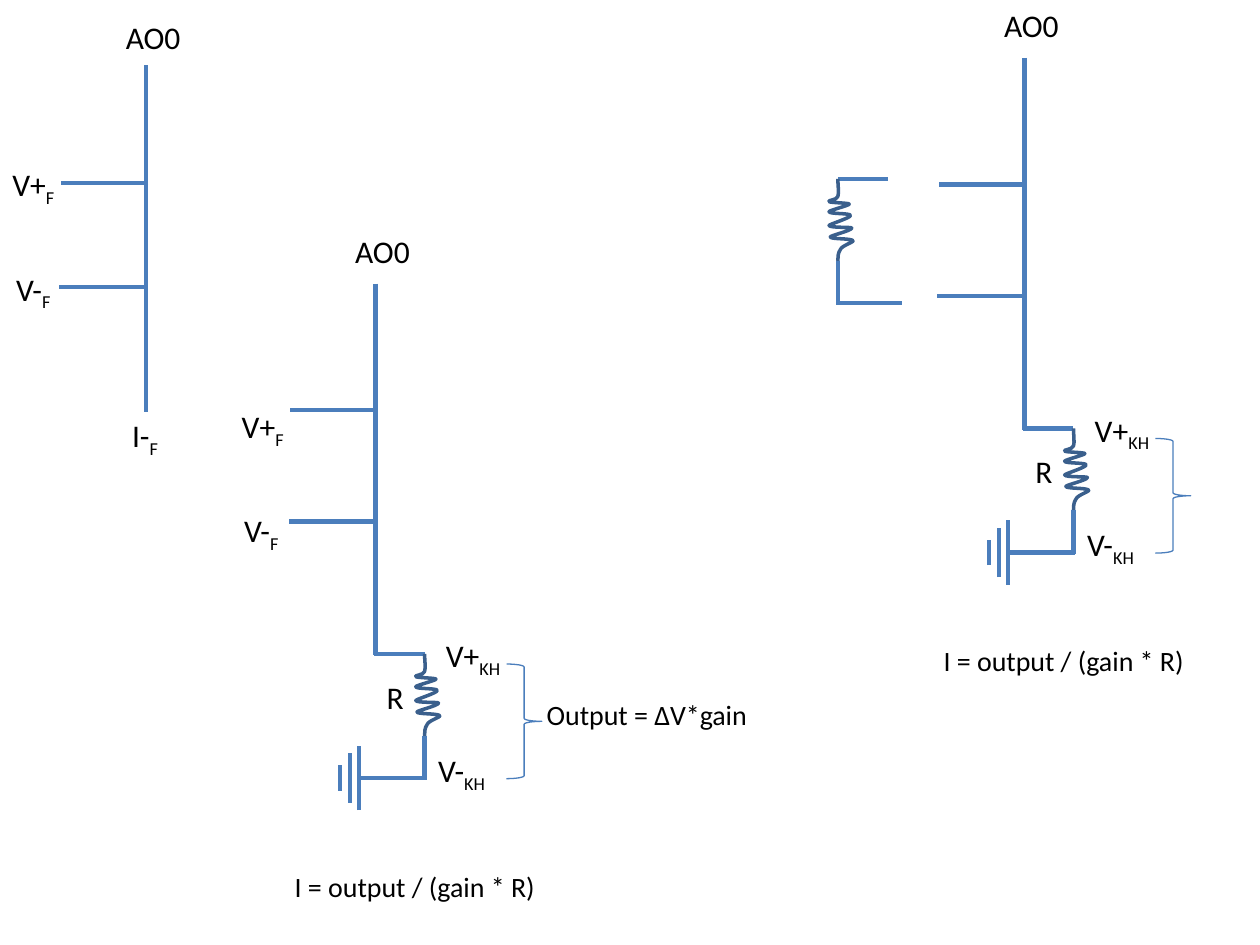
from lxml import etree
from pptx import Presentation
from pptx.dml.color import RGBColor
from pptx.enum.shapes import MSO_CONNECTOR, MSO_SHAPE
from pptx.enum.text import MSO_AUTO_SIZE
from pptx.oxml.ns import qn
from pptx.util import Inches, Pt

STRAIGHT = MSO_CONNECTOR.STRAIGHT
BRACE = MSO_SHAPE.LEFT_BRACE
GROW = MSO_AUTO_SIZE.SHAPE_TO_FIT_TEXT
INK = {"wire": "4B7EBC", "coil": "3A5F8C", "text": "000000"}
COLS, ROWS = 100, 75
CELL = Inches(0.1)
COIL_W, COIL_H = 1.9, 6.5
START = (7, 0)
TURNS = [
    ((7, 5), (8, 11), (7, 14)),
    ((6, 17), (-2, 17), (0, 18)),
    ((1, 19), (16, 19), (16, 20)),
    ((16, 21), (0, 25), (0, 26)),
    ((0, 28), (17, 27), (17, 29)),
    ((17, 31), (0, 36), (0, 37)),
    ((1, 39), (18, 38), (18, 39)),
    ((18, 41), (1, 45), (1, 46)),
    ((1, 48), (17, 47), (19, 49)),
    ((20, 50), (10, 53), (9, 56)),
    ((7, 59), (7, 62), (7, 65)),
]


def grid(*cells):
    return [round(n * CELL) for n in cells]


def pen(line, color, width):
    line.color.rgb = RGBColor.from_string(INK[color])
    line.width = Pt(width)


def wire(parts, *ends):
    link = parts.add_connector(STRAIGHT, *grid(*ends))
    pen(link.line, "wire", 2.5)
    etree.SubElement(link._element.spPr, qn("a:effectLst"))


def label(parts, text, x, y, w, h=4, size=18, sub="", wrap=True):
    box = parts.add_textbox(*grid(x, y, w, h))
    frame = box.text_frame
    frame.word_wrap = wrap
    frame.auto_size = GROW
    for word, base in ((text, 0), (sub, -25000)):
        if word:
            run = frame.paragraphs[0].add_run()
            run.text = word
            run.font.name = "Calibri"
            run.font.size = Pt(size)
            run.font.color.rgb = RGBColor.from_string(INK["text"])
            if base:
                run._r.get_or_add_rPr().set("baseline", str(base))


def probe(parts, x, y, w, h, head):
    group = parts.add_group_shape().shapes
    trunk = x + w
    wire(group, trunk, y, trunk, y + h)
    for share, shift in ((0.34, 0.15), (0.64, 0)):
        tap = y + share * h
        wire(group, trunk + shift, tap, x + shift, tap)
    label(group, "AO0", trunk - 2.6, y - head - 0.3, 8.9, head)


def coil(parts, x, y, w, h):
    def spot(a, b):
        return grid(w * a / 19, h * b / 65)

    left, top = grid(x, y)
    path = parts.build_freeform(*spot(*START))
    path.add_line_segments([spot(*turn[-1]) for turn in TURNS], close=False)
    shape = path.convert_to_shape(left, top)
    for line, turn in zip(list(shape._element.iter(qn("a:lnTo"))), TURNS):
        line.clear()
        line.tag = qn("a:cubicBezTo")
        for knot in turn:
            a, b = spot(*knot)
            etree.SubElement(line, qn("a:pt"), x=str(a), y=str(b))
    shape.fill.background()
    shape.shadow.inherit = False
    pen(shape.line, "coil", 2)


def leg(parts, x, y, side):
    mid, base = x + 0.7, y + 9.85
    wire(parts, mid, y, mid + side * 4, y)
    coil(parts, x, y, COIL_W, COIL_H)
    wire(parts, mid, y + 10, mid, y + COIL_H)
    wire(parts, mid - side * 0.1, base, mid + side * 5.1, base)


def ground(parts, x, y):
    for step, half in ((0, 2.55), (-0.7, 1.95), (-1.5, 1)):
        wire(parts, x + step, y + half, x + step, y - half)


def loop(parts, x, y, w):
    probe(parts, x + 0.5, y + 4.6, 6.9, 29.5, 4.3)
    label(parts, "V+", x + 12, y + 32.1, 7.3, sub="KH")
    label(parts, "V-", x + 11.4, y + 41.2, 7.3, sub="KH")
    ground(parts, x + 6.1, y + 43.85)
    leg(parts, x + 10.6, y + 34, -1)
    brace = parts.add_shape(BRACE, *grid(x + 17.8, y + 34.8, 2.8, 9.1))
    brace._element.spPr.xfrm.set("flipH", "1")
    brace.fill.background()
    brace.shadow.inherit = False
    pen(brace.line, "wire", 0.75)
    label(parts, "I = output / (gain * R)", x, y + 50.6, w, 3.7, 16)
    label(parts, "R", x + 7.3, y + 35.4, 3.4, wrap=False)


def main():
    deck = Presentation()
    deck.slide_width, deck.slide_height = grid(COLS, ROWS)
    parts = deck.slides.add_slide(deck.slide_layouts[6]).shapes
    probe(parts, 4.7, 5.2, 6.9, 27.5, 4)
    for text, x, y in (
        ("V+", 0, 12.6), ("V-", 0.3, 20.9), ("I-", 9.5, 32.5),
        ("V+", 18.2, 31.8), ("V-", 18.4, 40.1),
    ):
        label(parts, text, x, y, 6.3, sub="F")
    for x, y in ((22.4, 17.9), (73.9, 0)):
        loop(parts, x, y, 23.5)
    label(parts, "Output = ΔV*gain", 42.4, 54.9, 23.5, 3.7, 16)
    leg(parts, 65.8, 14.2, 1)
    deck.save("out.pptx")


if __name__ == "__main__":
    main()
